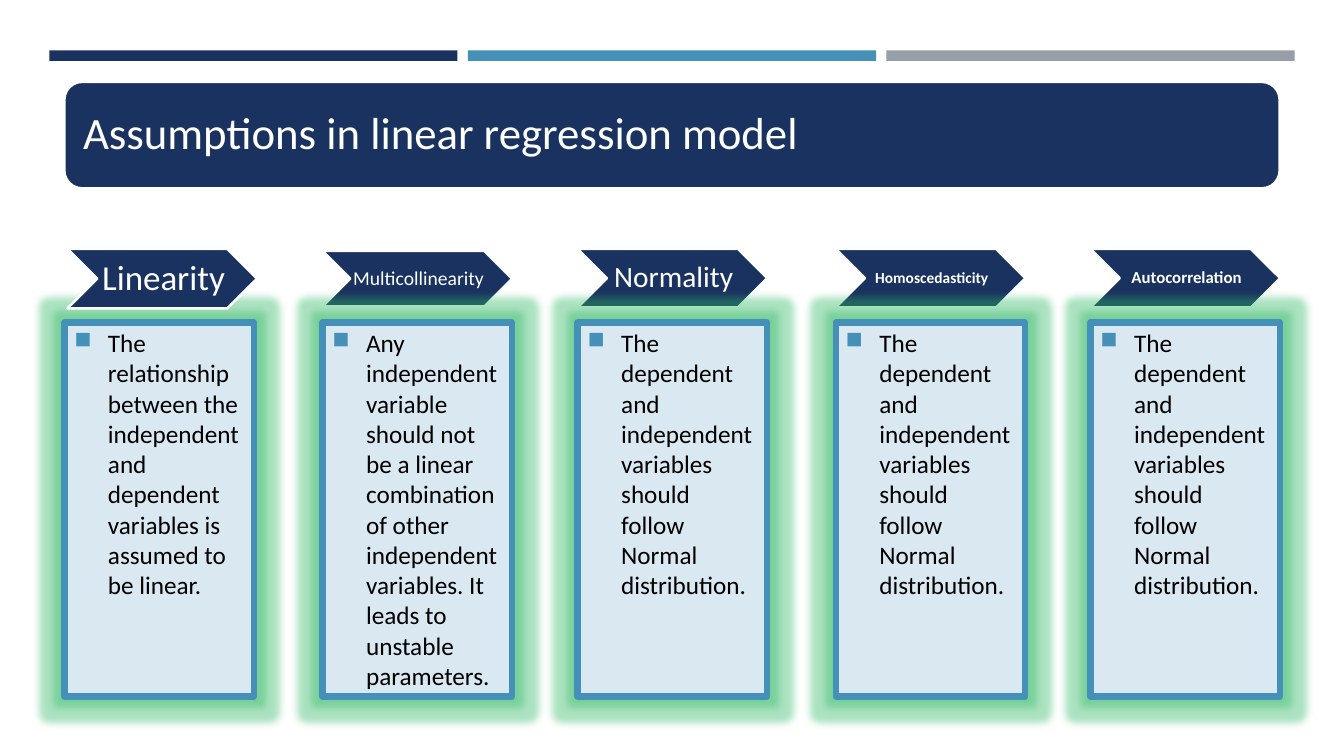
from dataclasses import dataclass

from lxml import etree
from pptx import Presentation
from pptx import util as u
from pptx.dml.color import RGBColor
from pptx.enum import shapes, text
from pptx.oxml.ns import qn

Pt = u.Pt
KIND = shapes.MSO_SHAPE
ANCHOR = text.MSO_ANCHOR
ALIGN = text.PP_ALIGN


@dataclass(frozen=True)
class Theme:
    navy: str = "1A3260"
    blue: str = "4590B8"
    gray: str = "969FA7"
    pale: str = "DAE9F1"
    white: str = "FFFFFF"
    black: str = "000000"
    edge: str = "EAECED"
    glow: str = "2DB862"
    font: str = "Calibri"
    title: float = 32
    body: float = 18


def node(parent, tag, **attrs):
    return etree.SubElement(parent, qn(tag), attrs)


def tint(parent, color):
    return node(node(parent, "a:solidFill"), "a:srgbClr", val=color)


def write(shape, words, size, color, font, bold=False, align=ALIGN.LEFT,
          anchor=ANCHOR.MIDDLE, inset=(7.2, 3.6, 7.2, 3.6), line=None,
          before=0, after=0):
    frame = shape.text_frame
    frame.word_wrap = True
    frame.vertical_anchor = anchor
    (frame.margin_left, frame.margin_top,
     frame.margin_right, frame.margin_bottom) = map(Pt, inset)
    para = frame.paragraphs[0]
    para.alignment = align
    para.line_spacing = line
    para.space_before, para.space_after = Pt(before), Pt(after)
    run = para.add_run()
    run.text = words
    run.font.name, run.font.size, run.font.bold = font, Pt(size), bold
    run.font.color.rgb = RGBColor.from_string(color)
    return para


class Deck:
    def __init__(self, theme):
        self.theme = theme
        self.file = Presentation()
        self.file.slide_width, self.file.slide_height = Pt(960), Pt(540)
        self.slide = self.file.slides.add_slide(self.file.slide_layouts[6])

    def shape(self, kind, box, fill, line=None, width=1.75):
        item = self.slide.shapes.add_shape(kind, *map(Pt, box))
        item.shadow.inherit = False
        item.fill.solid()
        item.fill.fore_color.rgb = RGBColor.from_string(fill)
        if line:
            item.line.color.rgb = RGBColor.from_string(line)
            item.line.width = Pt(width)
        else:
            item.line.fill.background()
        return item

    def title(self, words, box):
        t = self.theme
        item = self.shape(KIND.ROUNDED_RECTANGLE, box, t.navy, t.white)
        write(item, words, t.title, t.white, t.font, inset=(9.6,) * 4, line=0.9)

    def label(self, words, box, size, bold):
        t = self.theme
        item = self.shape(KIND.CHEVRON, box, t.navy, t.white)
        write(item, words, size, t.white, t.font, bold=bold,
              align=ALIGN.CENTER, inset=(1.8, 1, 0, 1), line=0.9)

    def card(self, words, box):
        t = self.theme
        item = self.shape(KIND.RECTANGLE, box, t.pale, t.blue, 4.5)
        # Soft green halo
        effects = item._element.spPr.find(qn("a:effectLst"))
        halo = node(effects, "a:glow", rad=str(Pt(11)))
        node(node(halo, "a:srgbClr", val=t.glow), "a:alpha", val="40000")
        para = write(item, words, t.body, t.black, t.font, anchor=ANCHOR.TOP,
                     before=3.6, after=6)
        # Square bullet with hanging indent
        props = para._p.get_or_add_pPr()
        props.set("marL", str(Pt(24)))
        props.set("indent", str(Pt(-24)))
        node(node(props, "a:buClr"), "a:srgbClr", val=t.blue)
        node(props, "a:buSzPct", val="92000")
        node(props, "a:buChar", char="■")
        # Thin letter outline
        style = para.runs[0].font._element
        rim = etree.Element(qn("a:ln"), w=str(Pt(0.75)))
        tint(rim, t.edge)
        style.insert(0, rim)


def main():
    theme = Theme()
    deck = Deck(theme)

    # Top stripes
    for i, color in enumerate((theme.navy, theme.blue, theme.gray)):
        deck.shape(KIND.RECTANGLE, (35.2 + 299 * i, 36, 291.6, 7.5), color)

    deck.title("Assumptions in linear regression model", (46, 58.5, 868, 76))

    # Columns: left, label, size, bold, label top, label height, body
    normal = ("The dependent and independent variables should follow "
              "Normal distribution.")
    columns = [
        (46, "Linearity", 25, False, 177.8, 42.5,
         "The relationship between the independent and dependent variables "
         "is assumed to be linear."),
        (230.4, "Multicollinearity", 14, False, 179.3, 39.6,
         "Any independent variable should not be a linear combination of "
         "other independent variables. It leads to unstable parameters."),
        (412.6, "Normality", 21, False, 177.8, 41.8, normal),
        (597, "Homoscedasticity", 11, True, 177.8, 41.8, normal),
        (779, "Autocorrelation", 12, True, 177.8, 41.8, normal),
    ]
    wide = 135.4
    for i, (left, name, size, bold, top, high, body) in enumerate(columns):
        first = i == 0
        card = (left, 230.4, wide, 267.1)
        tab = (left + 2.2 * first, top, wide, high)
        # The first label lies over its card, the others under
        if first:
            deck.card(body, card)
        deck.label(name, tab, size, bold)
        if not first:
            deck.card(body, card)

    deck.file.save("out.pptx")


if __name__ == "__main__":
    main()
